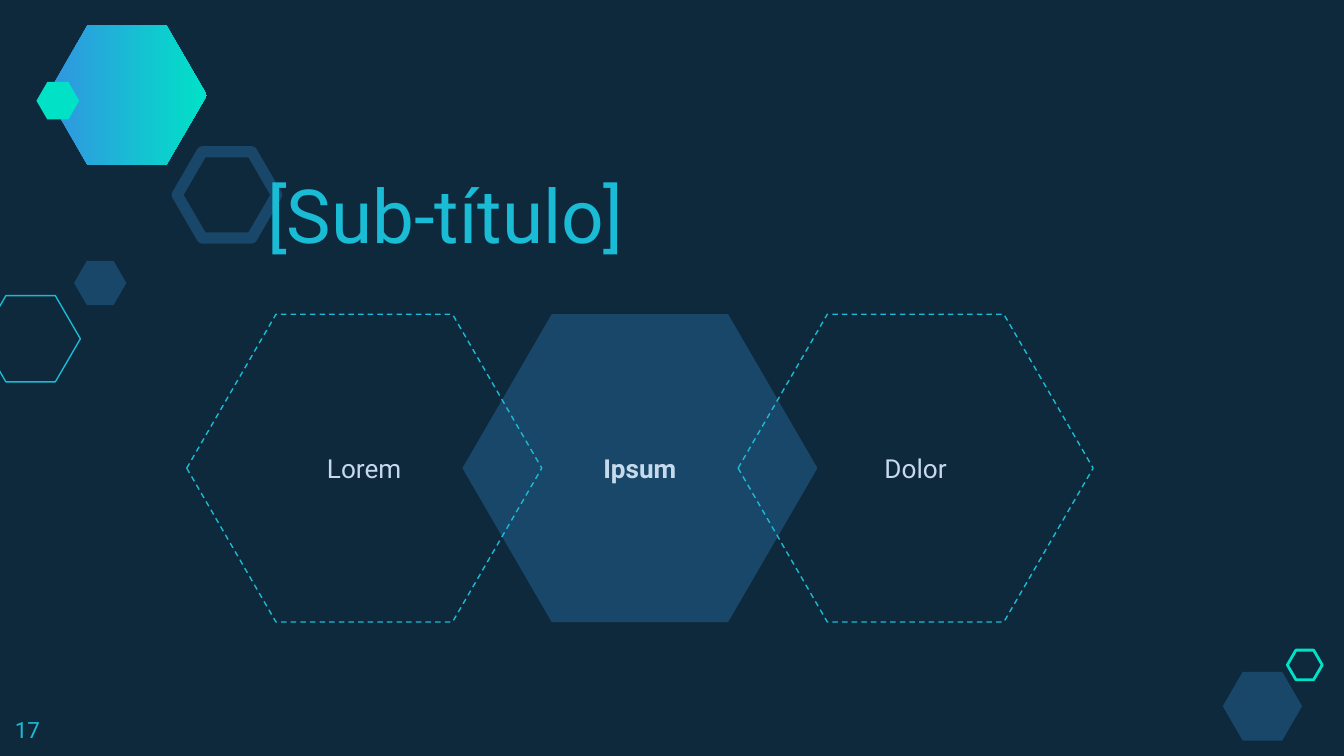
import dataclasses

import pptx
import pptx.dml.color
import pptx.enum.dml
import pptx.enum.shapes
import pptx.enum.text
import pptx.util

Cm = pptx.util.Cm
Pt = pptx.util.Pt
Color = pptx.dml.color.RGBColor.from_string
Align = pptx.enum.text.PP_ALIGN
Anchor = pptx.enum.text.MSO_ANCHOR


@dataclasses.dataclass(frozen=True)
class Theme:
    background: str = "0E293C"
    navy: str = "184769"
    cyan: str = "19BBD5"
    mint: str = "00E1C6"
    pale: str = "C6DAEC"
    gradient: tuple = ("3393E2", "00E2C7")
    font: str = "Roboto"
    title: int = 40
    label: int = 14
    number: int = 12


theme = Theme()


def add_hexagon(page, bounds, fill=None, line=None, weight=0.75):
    hexagon = page.shapes.add_shape(
        pptx.enum.shapes.MSO_SHAPE.HEXAGON, *[Cm(length) for length in bounds]
    )
    hexagon.shadow.inherit = False
    hexagon.adjustments[0] = 0.29
    if fill:
        hexagon.fill.solid()
        hexagon.fill.fore_color.rgb = Color(fill)
    else:
        hexagon.fill.background()
    if line:
        hexagon.line.color.rgb = Color(line)
        hexagon.line.width = Pt(weight)
    else:
        hexagon.line.fill.background()
    return hexagon


def write(box, text, size, color, bold=False, align=Align.LEFT, anchor=Anchor.TOP):
    frame = box.text_frame
    margins = {f"margin_{side}": Cm(0.25) for side in ("left", "top", "right", "bottom")}
    for name, value in {"word_wrap": True, "vertical_anchor": anchor, **margins}.items():
        setattr(frame, name, value)
    para = frame.paragraphs[0]
    para.alignment = align
    span = para.add_run()
    span.text = text
    for name, value in {"name": theme.font, "size": Pt(size), "bold": bold}.items():
        setattr(span.font, name, value)
    span.font.color.rgb = Color(color)


deck = pptx.Presentation()
deck.slide_width, deck.slide_height = Cm(25.4), Cm(14.29)
page = deck.slides.add_slide(deck.slide_layouts[6])
page.background.fill.solid()
page.background.fill.fore_color.rgb = Color(theme.background)

gradient_hexagon = add_hexagon(page, (0.89, 0.48, 3.02, 2.64))
gradient_hexagon.fill.gradient()
gradient_hexagon.fill.gradient_angle = 0
for stop, color in zip(gradient_hexagon.fill.gradient_stops, theme.gradient):
    stop.color.rgb = Color(color)

decorations = [
    ((-0.36, 5.59, 1.88, 1.63), {"line": theme.cyan}),
    ((1.4, 4.93, 0.99, 0.84), {"fill": theme.navy}),
    ((3.35, 2.87, 1.88, 1.63), {"line": theme.navy, "weight": 6}),
    ((0.69, 1.55, 0.81, 0.71), {"fill": theme.mint}),
    ((23.11, 12.7, 1.5, 1.3), {"fill": theme.navy}),
    ((24.33, 12.29, 0.66, 0.56), {"line": theme.mint, "weight": 1.5}),
]
for bounds, style in decorations:
    add_hexagon(page, bounds, **style)

title = page.shapes.add_textbox(Cm(4.8), Cm(3.33), Cm(13.74), Cm(1.8))
write(title, "[Sub-título]", theme.title, theme.cyan, anchor=Anchor.BOTTOM)

for column, label in [(1, "Ipsum"), (0, "Lorem"), (2, "Dolor")]:
    central = column == 1
    style = {"fill": theme.navy} if central else {"line": theme.cyan}
    hexagon = add_hexagon(page, (3.53 + column * 5.21, 5.94, 6.71, 5.82), **style)
    if not central:
        hexagon.line.dash_style = pptx.enum.dml.MSO_LINE.DASH
    write(hexagon, label, theme.label, theme.pale, central, Align.CENTER, Anchor.MIDDLE)

number = page.shapes.add_textbox(Cm(0.03), Cm(13.28), Cm(1.52), Cm(0.99))
write(number, "17", theme.number, theme.cyan)

deck.save("out.pptx")
